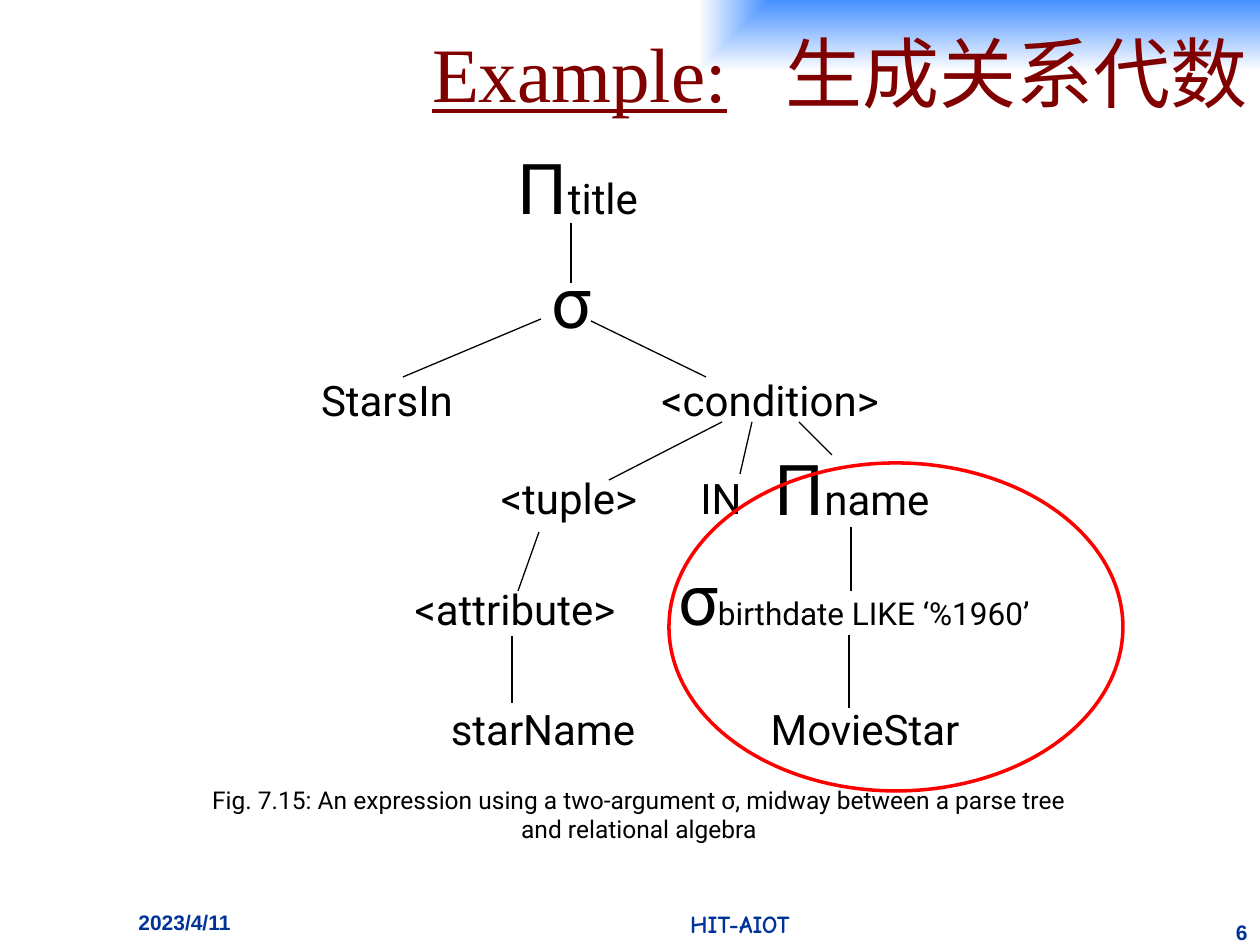
import lxml.etree
import pptx
import pptx.dml.color
import pptx.enum.shapes
import pptx.enum.text
import pptx.oxml
import pptx.oxml.ns
import pptx.util

PX = 914400 / 126
ALIGN = pptx.enum.text.PP_ALIGN
ANCHOR = pptx.enum.text.MSO_ANCHOR
FIT = pptx.enum.text.MSO_AUTO_SIZE.SHAPE_TO_FIT_TEXT
SHAPE = pptx.enum.shapes.MSO_SHAPE
LINE = pptx.enum.shapes.MSO_CONNECTOR.STRAIGHT
BIG, NORMAL = 40, 24

NODES = [
    (258, 49, 160, [("Π", BIG), ("title", NORMAL)]),
    (251, 163, 80, [("σ", BIG)]),
    (67, 262, 170, [("StarsIn", NORMAL)]),
    (450, 262, 260, [("<condition>", NORMAL)]),
    (249, 360, 180, [("<tuple>", NORMAL)]),
    (401, 360, 80, [("IN", NORMAL)]),
    (532, 349, 200, [("Π", BIG), ("name", NORMAL)]),
    (195, 471, 250, [("<attribute>", NORMAL)]),
    (534, 460, 400, [("σ", BIG), ("birthdate LIKE ‘%1960’", 18)]),
    (223, 591, 230, [("starName", NORMAL)]),
    (545, 591, 230, [("MovieStar", NORMAL)]),
]
BRANCHES = [
    (251, 85, 251, 145),
    (221, 181, 83, 239),
    (271, 183, 386, 239),
    (402, 284, 289, 342),
    (432, 284, 420, 336),
    (479, 284, 512, 317),
    (219, 394, 198, 453),
    (192, 498, 192, 565),
    (531, 389, 531, 453),
    (529, 497, 529, 570),
]


def emu(*lengths):
    return [round(length * PX) for length in lengths]


def color(value):
    return pptx.dml.color.RGBColor.from_string(value)


def write(paragraph, text, font="Roboto", size=NORMAL, fill="000000",
          bold=False, underline=False, spacing=0):
    run = paragraph.add_run()
    run.text = text
    run.font.name = font
    run.font.size = pptx.util.Pt(size)
    run.font.color.rgb = color(fill)
    run.font.bold = bold
    run.font.underline = underline
    if spacing:
        run.font._element.set("spc", str(spacing * 100))
    east_asian = lxml.etree.SubElement(
        run.font._element, pptx.oxml.ns.qn("a:ea"))
    east_asian.set("typeface", font)


def text_box(slide, box, align=ALIGN.CENTER, anchor=ANCHOR.TOP, wrap=True):
    frame = slide.shapes.add_textbox(*emu(*box)).text_frame
    frame.word_wrap = wrap
    if not wrap:
        frame.auto_size = FIT
    frame.vertical_anchor = anchor
    paragraph = frame.paragraphs[0]
    paragraph.alignment = align
    return paragraph


def footer(slide, left, top, width, height):
    navy = dict(fill="003399", bold=True)
    date = text_box(slide, (left, top, 220, 42), ALIGN.LEFT)
    write(date, "2023/4/11", font="Arial", size=12, **navy)
    group = text_box(slide, (left + 315, top, 598, 42))
    write(group, "HIT-AIOT", font="Comic Neue", size=14, **navy)
    number = text_box(
        slide, (left + width - 53, top + height - 32, 53, 32), ALIGN.RIGHT)
    write(number, "6", font="Arial", size=12, **navy)


def tree(slide, left, top):
    for x, y, width, parts in NODES:
        height = 97 if parts[0][1] == BIG else 63
        node = text_box(
            slide, (left + x - width / 2, top + y - height / 2, width, height),
            anchor=ANCHOR.MIDDLE, wrap=False)
        for text, size in parts:
            write(node, text, size=size)
    for x1, y1, x2, y2 in BRANCHES:
        branch = slide.shapes.add_connector(
            LINE, *emu(left + x1, top + y1, left + x2, top + y2))
        branch.line.color.rgb = color("000000")
        branch.line.width = pptx.util.Pt(0.75)
        lxml.etree.SubElement(
            branch._element.spPr, pptx.oxml.ns.qn("a:effectLst"))


def caption(slide, box):
    figure = text_box(slide, box, anchor=ANCHOR.MIDDLE)
    write(figure, "Fig. 7.15: An expression using a two-argument σ, midway "
                  "between a parse tree and relational algebra", size=14)


def title(slide, box):
    banner = slide.shapes.add_shape(SHAPE.RECTANGLE, *emu(*box))
    banner.shadow.inherit = False
    banner.line.fill.background()
    banner.fill.gradient()
    for stop, shade, position in zip(
            banner.fill.gradient_stops, ("3F8DFF", "FFFFFF"), (0, 1)):
        stop.color.rgb = color(shade)
        stop.position = position
    gradient = banner._element.spPr.find(pptx.oxml.ns.qn("a:gradFill"))
    gradient.remove(gradient.find(pptx.oxml.ns.qn("a:lin")))
    gradient.append(pptx.oxml.parse_xml(
        f'<a:path {pptx.oxml.ns.nsdecls("a")} path="rect">'
        '<a:fillToRect l="100000" b="100000"/></a:path>'))
    frame = banner.text_frame
    frame.word_wrap = True
    frame.vertical_anchor = ANCHOR.MIDDLE
    heading = frame.paragraphs[0]
    heading.alignment = ALIGN.RIGHT
    maroon = dict(size=44, fill="800000")
    write(heading, "Example:", font="Times New Roman", underline=True, **maroon)
    write(heading, " ", font="Times New Roman", spacing=22, **maroon)
    write(heading, "生成关系代数", font="Noto Sans CJK SC", **maroon)


def highlight(slide, box):
    ring = slide.shapes.add_shape(SHAPE.OVAL, *emu(*box))
    ring.shadow.inherit = False
    ring.fill.background()
    ring.line.color.rgb = color("FF0000")
    ring.line.width = pptx.util.Pt(2)


def main():
    deck = pptx.Presentation()
    deck.slide_width, deck.slide_height = emu(1260, 945)
    slide = deck.slides.add_slide(deck.slide_layouts[6])
    footer(slide, 126, 903, 1134, 42)
    tree(slide, 320, 138)
    caption(slide, (185, 778, 908, 72))
    title(slide, (136, -2, 1124, 147))
    highlight(slide, (669, 463, 454, 328))
    deck.save("out.pptx")


if __name__ == "__main__":
    main()
